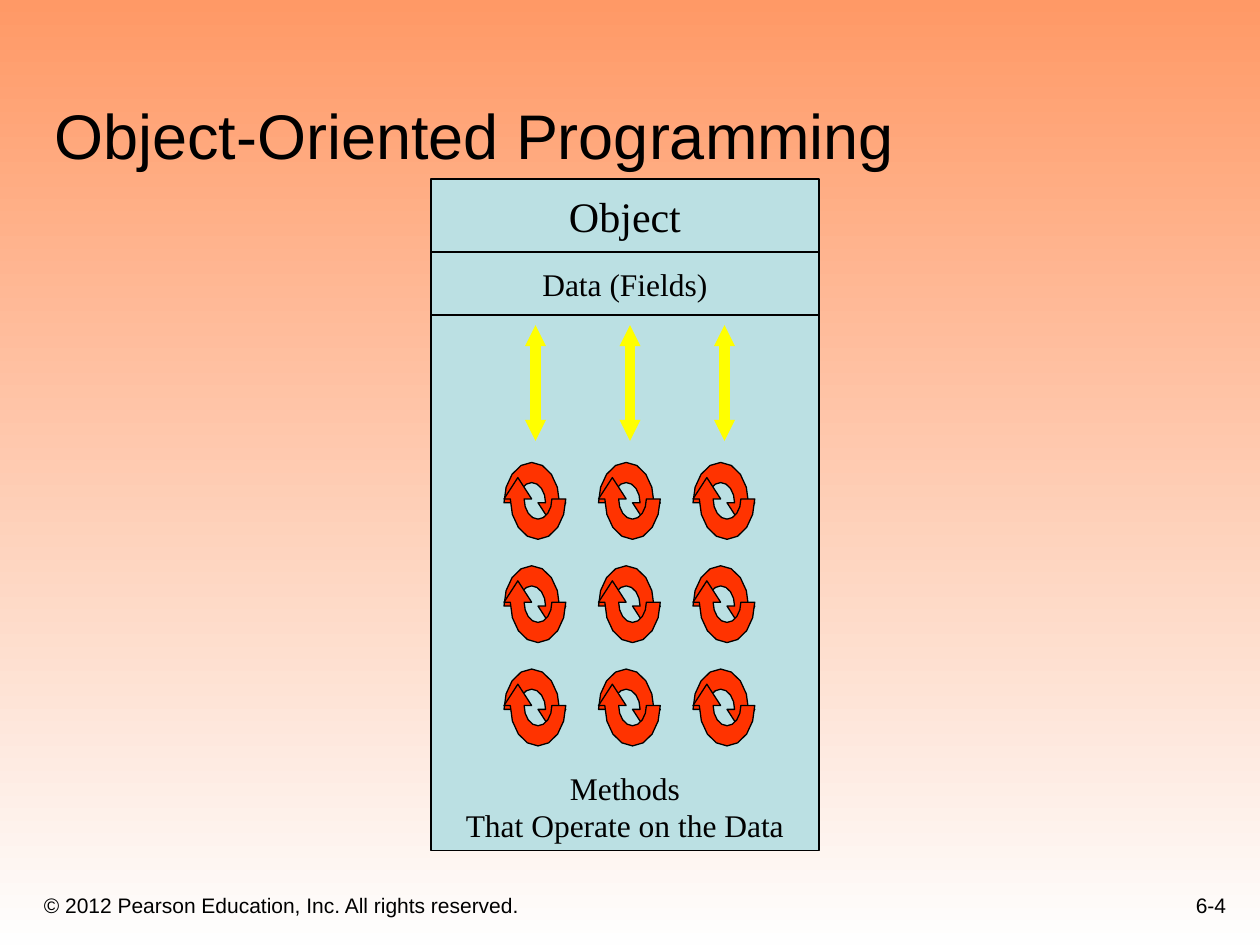
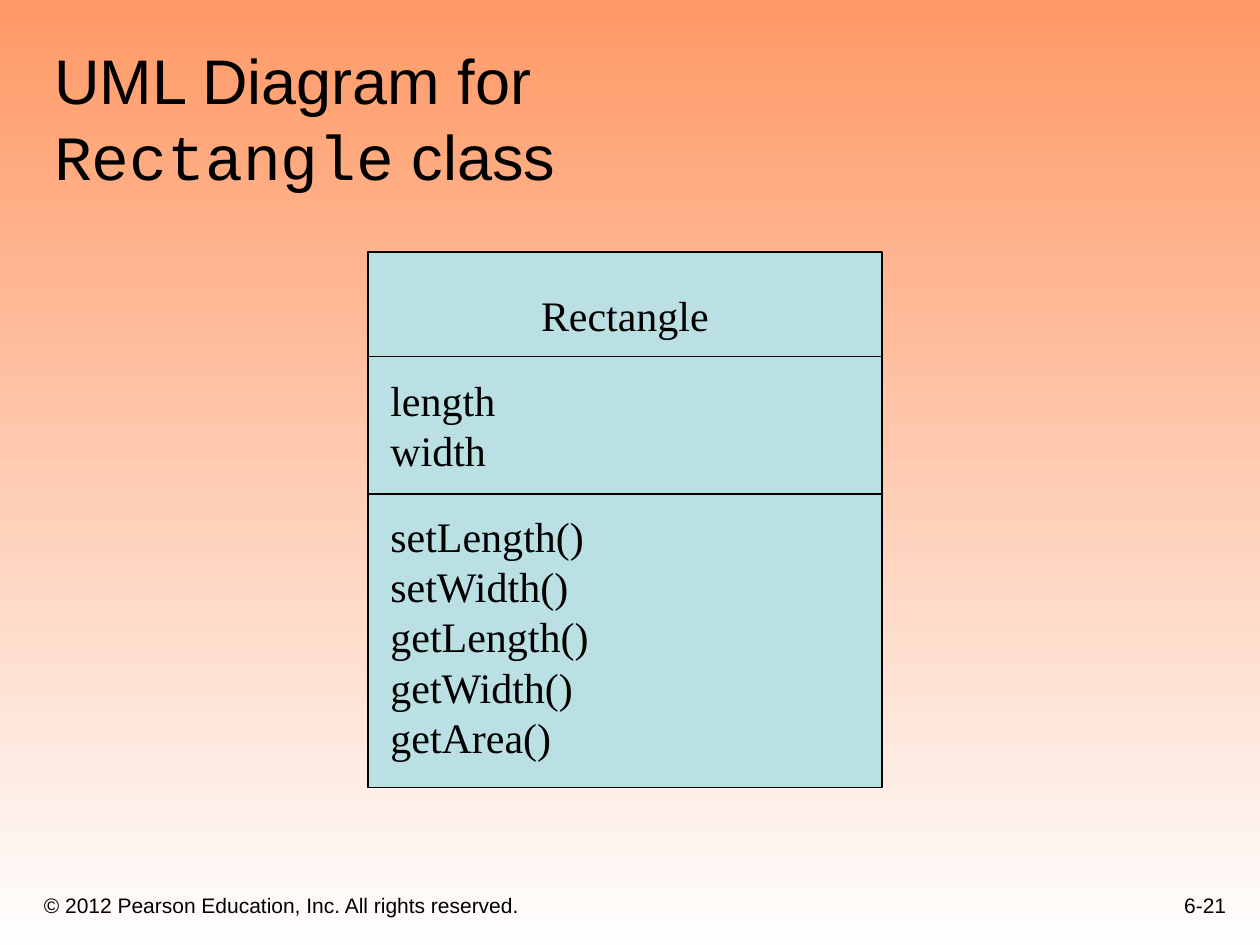
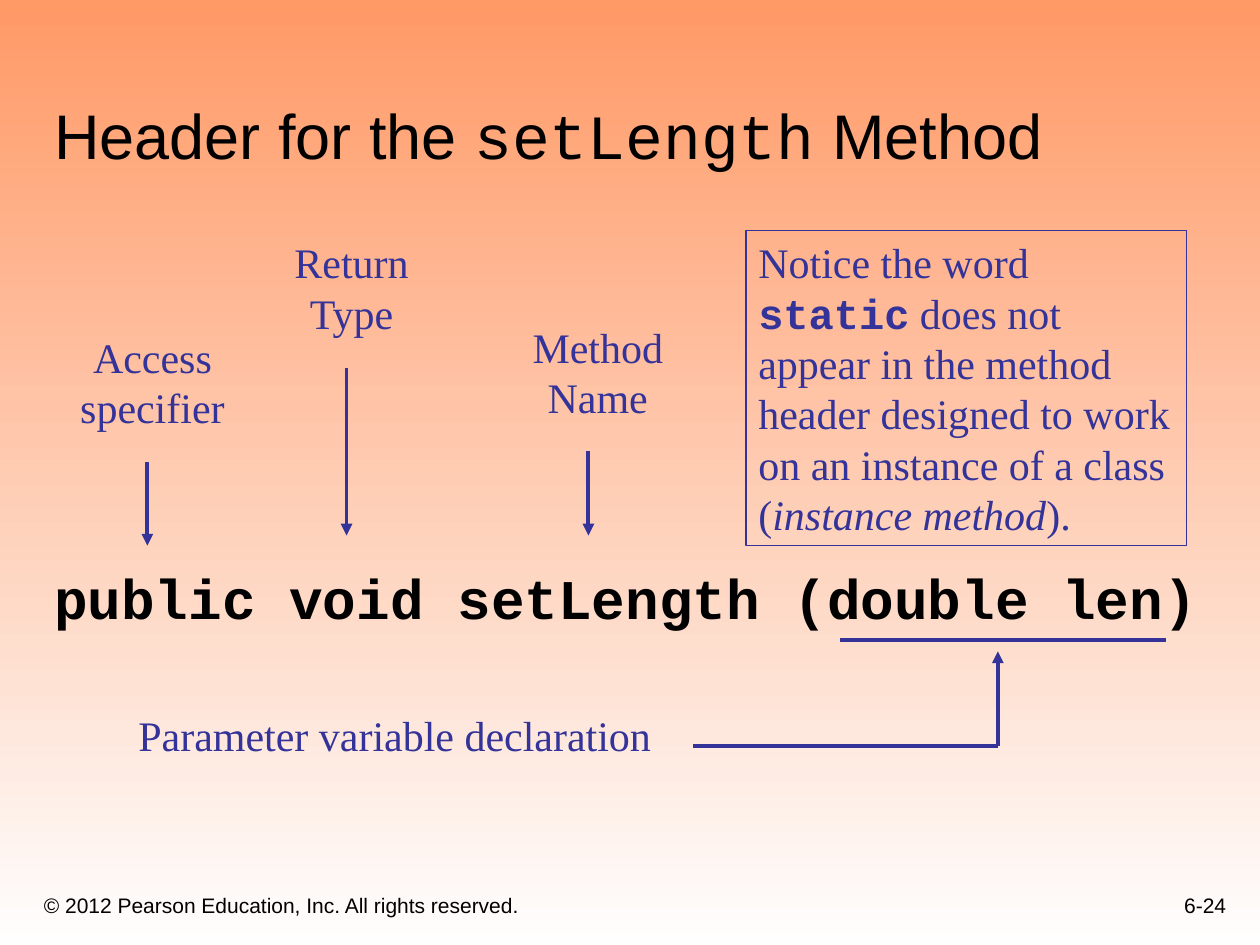
from itertools import product
from math import cos, pi, sin

from lxml.etree import SubElement
from pptx import Presentation
from pptx.dml.color import RGBColor
from pptx.enum.shapes import MSO_CONNECTOR, MSO_SHAPE
from pptx.enum.text import MSO_ANCHOR, MSO_AUTO_SIZE, PP_ALIGN
from pptx.oxml.ns import qn
from pptx.util import Inches, Pt

ORANGE = RGBColor(0xFF, 0x99, 0x66)
WHITE = RGBColor(0xFE, 0xFE, 0xFE)
BLACK = RGBColor(0x00, 0x00, 0x00)
PALE_BLUE = RGBColor(0xBB, 0xE0, 0xE3)
RED = RGBColor(0xFF, 0x33, 0x00)
YELLOW = RGBColor(0xFF, 0xFF, 0x00)
INDIGO = RGBColor(0x33, 0x33, 0x99)

SANS = "Arial"
SERIF = "Times New Roman"
MONO = "Courier New"

TITLE_ONLY, TITLE_AND_CONTENT = 5, 1
COPYRIGHT = "© 2012 Pearson Education, Inc. All rights reserved."


def format_run(run, font_name, size, color, bold=False, italic=False):
    run.font.name = font_name
    run.font.size = Pt(size)
    run.font.color.rgb = color
    run.font.bold = bold
    run.font.italic = italic


def format_frame(frame, size, color=BLACK, font_name=SERIF, align=PP_ALIGN.LEFT,
                 anchor=MSO_ANCHOR.TOP, wrap=True):
    frame.word_wrap = wrap
    frame.auto_size = MSO_AUTO_SIZE.NONE
    frame.vertical_anchor = anchor
    for paragraph in frame.paragraphs:
        paragraph.alignment = align
        paragraph.space_before = Pt(0)
        for run in paragraph.runs:
            format_run(run, font_name, size, color)


def add_parts(paragraph, parts, size, color):
    for text, font_name, bold, italic in parts:
        run = paragraph.add_run()
        run.text = text
        format_run(run, font_name, size, color, bold, italic)


def place(shape, left, top, width, height):
    shape.left, shape.top = Inches(left), Inches(top)
    shape.width, shape.height = Inches(width), Inches(height)


def add_label(slide, box, text, size=24, **style):
    label = slide.shapes.add_textbox(*map(Inches, box))
    label.text_frame.text = text
    format_frame(label.text_frame, size, **style)
    return label


def outline(shape, line_color, fill_color=None):
    shape.shadow.inherit = False
    if fill_color is None:
        shape.fill.background()
    else:
        shape.fill.solid()
        shape.fill.fore_color.rgb = fill_color
    shape.line.color.rgb = line_color
    shape.line.width = Pt(0.75)


def add_panel(slide, box, text="", size=24, line_color=BLACK, fill_color=PALE_BLUE, **style):
    panel = slide.shapes.add_shape(MSO_SHAPE.RECTANGLE, *map(Inches, box))
    outline(panel, line_color, fill_color)
    panel.text_frame.text = text
    format_frame(panel.text_frame, size, **style)
    return panel


def add_line(slide, start, end, color, width, ends=(), end_size="med"):
    line = slide.shapes.add_connector(MSO_CONNECTOR.STRAIGHT, *map(Inches, start + end))
    line.line.width = Pt(width)
    line.line.color.rgb = color
    for name in ends:
        SubElement(line.line._ln, qn(name), type="triangle", w=end_size, len=end_size)
    SubElement(line._element.spPr, qn("a:effectLst"))


def half_turn_points(steps=8):
    angles = [pi * step / steps for step in range(steps + 1)]
    inner = [(0.22 + 0.11 * cos(a), 0.32 - 0.16 * sin(a)) for a in angles]
    outer = [(0.22 + 0.22 * cos(a), 0.32 - 0.32 * sin(a)) for a in reversed(angles)]
    return inner + outer + [(0.49, 0.32), (0.38, 0.49), (0.27, 0.32)]


def add_method_cycle(slide, left, top):
    upper = half_turn_points()
    lower = [(0.49 - x, 0.61 - y) for x, y in upper]
    for points in (upper, lower):
        corners = [(Inches(left + x), Inches(top + y)) for x, y in points]
        builder = slide.shapes.build_freeform(*corners[0])
        builder.add_line_segments(corners[1:], close=True)
        outline(builder.convert_to_shape(), BLACK, RED)


def paint_background(prs):
    fill = prs.slide_master.background.fill
    fill.gradient()
    fill.gradient_angle = 270
    for stop, color in zip(fill.gradient_stops, (ORANGE, WHITE)):
        stop.color.rgb = color


def share_copyright(prs, slide):
    notice = add_label(slide, (0.25, 6.91, 6.08, 0.42), COPYRIGHT, 12,
                       font_name=SANS, anchor=MSO_ANCHOR.BOTTOM)
    prs.slide_master.shapes._spTree.append(notice._element)


def start_slide(prs, layout, number, title_box, title, parts=()):
    slide = prs.slides.add_slide(prs.slide_layouts[layout])
    add_label(slide, (7.75, 6.83, 2.08, 0.5), number, 12, font_name=SANS,
              align=PP_ALIGN.RIGHT, anchor=MSO_ANCHOR.BOTTOM)
    heading = slide.shapes.title
    place(heading, *title_box)
    heading.text_frame.text = title
    format_frame(heading.text_frame, 36, font_name=SANS, anchor=MSO_ANCHOR.BOTTOM)
    add_parts(heading.text_frame.paragraphs[0], parts, 36, BLACK)
    return slide


def build_object_slide(prs):
    slide = start_slide(prs, TITLE_ONLY, "6-4", (0.33, 0.33, 9.42, 1.09),
                        "Object-Oriented Programming")
    for top, height, text, size, anchor in (
        (1.42, 0.58, "Object", 24, MSO_ANCHOR.MIDDLE),
        (2, 0.5, "Data (Fields)", 18, MSO_ANCHOR.MIDDLE),
        (2.5, 4.25, "Methods\vThat Operate on the Data", 18, MSO_ANCHOR.BOTTOM),
    ):
        add_panel(slide, (3.42, top, 3.08, height), text, size,
                  align=PP_ALIGN.CENTER, anchor=anchor, wrap=False)
    for row, column in product(range(3), repeat=2):
        add_method_cycle(slide, 4 + 0.75 * column, 3.67 + 0.82 * row)
    for column in range(3):
        x = 4.25 + 0.75 * column
        add_line(slide, (x, 3.5), (x, 2.58), YELLOW, 6, ("a:headEnd", "a:tailEnd"), "sm")
    return slide


def build_uml_slide(prs):
    slide = start_slide(prs, TITLE_ONLY, "6-21", (0.33, 0.33, 8.5, 1.25), "UML Diagram for \v",
                        [("Rectangle", MONO, False, False), (" class", SANS, False, False)])
    add_panel(slide, (2.92, 2, 4.08, 4.25))
    add_label(slide, (2.92, 2.25, 4.08, 0.5), "Rectangle", align=PP_ALIGN.CENTER)
    add_label(slide, (3, 2.92, 1.83, 0.9), "length width")
    add_label(slide, (3, 4, 1.92, 2.1),
              "setLength() setWidth() getLength() getWidth() getArea()")
    for y in (2.83, 3.92):
        add_line(slide, (2.92, y), (7, y), BLACK, 0.75)


def add_method_header(slide):
    header = slide.placeholders[1]
    place(header, 0.33, 4.42, 9.33, 0.83)
    frame = header.text_frame
    frame.text = "public void setLength (double len)"
    frame.margin_right = 0
    properties = frame.paragraphs[0]._p.get_or_add_pPr()
    properties.set("marL", str(Inches(0.38)))
    properties.set("indent", str(Inches(-0.38)))
    SubElement(properties, qn("a:buNone"))
    format_frame(frame, 32, font_name=MONO)
    frame.paragraphs[0].runs[0].font.bold = True


def build_header_slide(prs):
    slide = start_slide(prs, TITLE_AND_CONTENT, "6-24", (0.33, 0.17, 8.5, 1.25),
                        "Header for the ",
                        [("setLength", MONO, False, False), (" Method", SANS, False, False)])
    add_method_header(slide)
    for text, left, top, width, arrow_x, arrow_top, arrow_bottom in (
        ("Access specifier", 0.17, 2.58, 2.08, 1.17, 3.67, 4.33),
        ("Return Type", 2, 1.83, 1.58, 2.75, 2.92, 4.25),
        ("Method Name", 4.08, 2.5, 1.33, 4.67, 3.58, 4.25),
    ):
        add_label(slide, (left, top, width, 0.9), text, color=INDIGO, align=PP_ALIGN.CENTER)
        add_line(slide, (arrow_x, arrow_top), (arrow_x, arrow_bottom),
                 INDIGO, 2.25, ("a:tailEnd",))
    add_label(slide, (1, 5.58, 4.42, 0.5), "Parameter variable declaration", color=INDIGO)
    add_line(slide, (7.92, 5.92), (7.92, 5.17), INDIGO, 2.25, ("a:tailEnd",))
    add_line(slide, (6.67, 5.08), (9.25, 5.08), INDIGO, 2.25)
    add_line(slide, (5.5, 5.92), (7.92, 5.92), INDIGO, 2.25)
    notice = add_panel(slide, (5.92, 1.83, 3.5, 2.5), "Notice the word ",
                       line_color=INDIGO, fill_color=None, color=INDIGO)
    add_parts(notice.text_frame.paragraphs[0], [
        ("static", MONO, True, False),
        (" does not appear in the method header designed to work on an instance of a class (",
         SERIF, False, False),
        ("instance method", SERIF, False, True),
        (").", SERIF, False, False),
    ], 24, INDIGO)


def main():
    prs = Presentation()
    prs.slide_width, prs.slide_height = Inches(10), Inches(7.5)
    paint_background(prs)
    share_copyright(prs, build_object_slide(prs))
    build_uml_slide(prs)
    build_header_slide(prs)
    prs.save("out.pptx")


if __name__ == "__main__":
    main()
